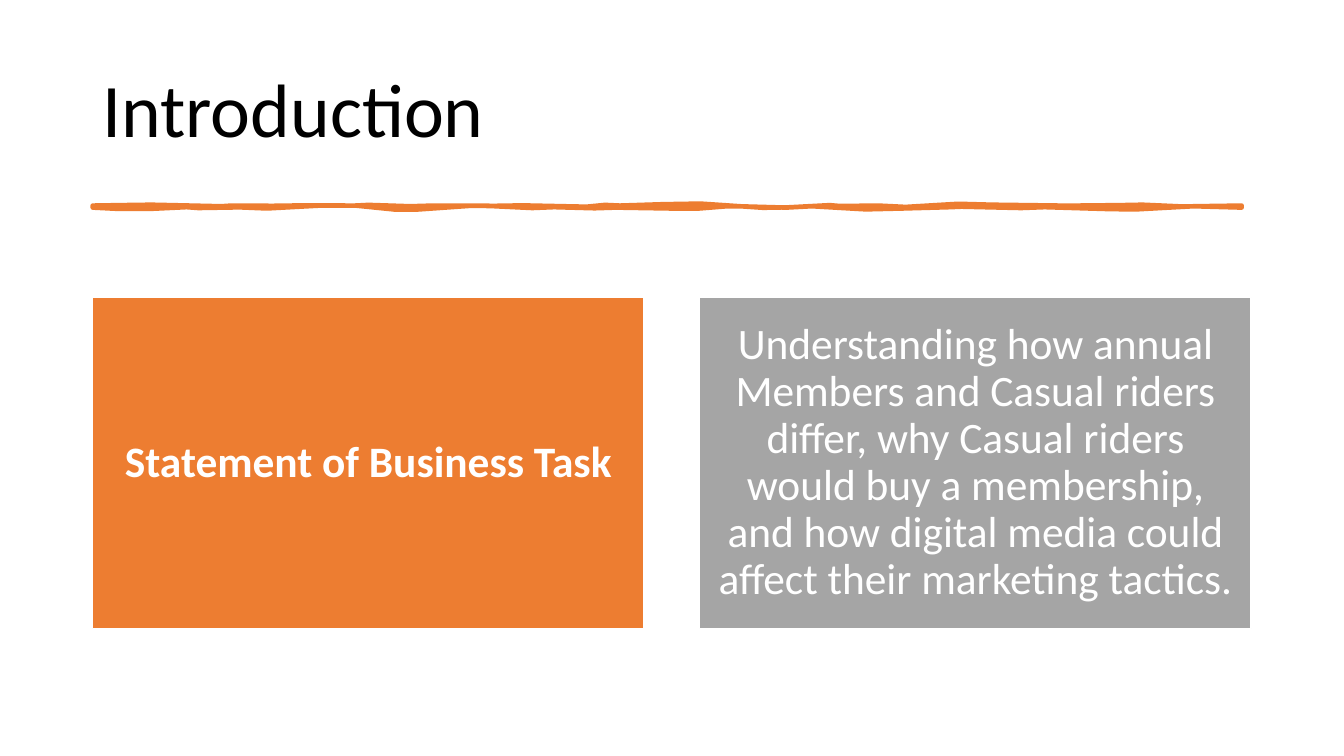
from pptx import Presentation
from pptx.dml.color import RGBColor as Rgb
from pptx.enum.shapes import MSO_SHAPE as Kind
from pptx.enum.text import MSO_ANCHOR as Anchor, PP_ALIGN as Align
from pptx.util import Cm, Pt

FONT = "Calibri"
ORANGE, GRAY, WHITE, BLACK = "ED7D31", "A5A5A5", "FFFFFF", "000000"

# Wavy rule in hundredths of an inch: x1, y1, x2, y2, end x of each curve
LEFT, TOP, BASE = 92, 204, 206
FINE = 100
UPPER = [
    (119, 204, 144, 202, 190), (237, 206, 220, 203, 244),
    (267, 205, 303, 203, 331), (360, 205, 359, 202, 384),
    (410, 206, 423, 203, 460), (498, 205, 514, 203, 548),
    (581, 205, 581, 206, 589), (598, 202, 615, 205, 631),
    (647, 203, 701, 200, 730), (759, 208, 781, 206, 806),
    (831, 202, 827, 206, 848), (868, 202, 901, 208, 924),
    (947, 200, 982, 204, 1023), (1063, 204, 1063, 204, 1087),
    (1112, 204, 1136, 202, 1152), (1168, 206, 1203, 204, 1232),
]
LOWER = [
    (1205, 206, 1189, 203, 1156), (1122, 209, 1110, 208, 1068),
    (1027, 204, 1023, 208, 981), (939, 204, 952, 206, 928),
    (904, 206, 851, 210, 829), (806, 202, 782, 208, 753),
    (724, 204, 725, 204, 711), (698, 208, 661, 207, 635),
    (609, 205, 590, 208, 570), (551, 204, 528, 208, 506),
    (483, 204, 473, 203, 441), (409, 209, 390, 209, 377),
    (363, 203, 310, 203, 289), (268, 209, 235, 204, 213),
    (192, 208, 189, 204, 171), (154, 208, 114, 208, 92),
]


def color(code):
    return Rgb.from_string(code)


def paint(shape, fill, line, width):
    shape.shadow.inherit = False
    shape.fill.solid()
    shape.fill.fore_color.rgb = color(fill)
    shape.line.color.rgb = color(line)
    shape.line.width = Pt(width)


def write(frame, text, size, ink, align, bold=False):
    frame.word_wrap = True
    frame.vertical_anchor = Anchor.MIDDLE
    para = frame.paragraphs[0]
    para.alignment = align
    para.line_spacing = 0.9
    run = para.add_run()
    run.text = text
    font = run.font
    font.name, font.size, font.bold = FONT, Pt(size), bold
    font.color.rgb = color(ink)


def add_title(slide, text):
    title = slide.shapes.title
    title.left, title.top = Cm(2.33), Cm(1.01)
    title.width, title.height = Cm(29.21), Cm(3.68)
    write(title.text_frame, text, 54, BLACK, Align.LEFT)


def trace(start, curves, y):
    """Two points on each cubic curve, all curves ending at height y."""
    x = start
    for x1, y1, x2, y2, end in curves:
        for t in (1 / 3, 2 / 3):
            u = 1 - t
            a, b, c, d = u**3, 3 * u * u * t, 3 * u * t * t, t**3
            yield (FINE * (a * x + b * x1 + c * x2 + d * end),
                   FINE * (a * y + b * y1 + c * y2 + d * y))
        x = end


def add_wave(slide):
    right = UPPER[-1][-1]
    ends = [(FINE * right, FINE * y) for y in (TOP, BASE)]
    points = [*trace(LEFT, UPPER, TOP), *ends, *trace(right, LOWER, BASE),
              (FINE * LEFT, FINE * BASE)]
    pen = slide.shapes.build_freeform(
        FINE * LEFT, FINE * TOP, scale=Cm(2.54) / 100 / FINE)
    pen.add_line_segments(points, close=True)
    paint(pen.convert_to_shape(), ORANGE, ORANGE, 3.25)


def add_card(slide, left, text, fill, bold):
    card = slide.shapes.add_shape(
        Kind.RECTANGLE, left, Cm(7.5), Cm(13.9), Cm(8.34))
    paint(card, fill, WHITE, 1)
    frame = card.text_frame
    frame.margin_left = frame.margin_right = Cm(0.33)
    frame.margin_top = frame.margin_bottom = Cm(0.33)
    write(frame, text, 31, WHITE, Align.CENTER, bold)


def main():
    deck = Presentation()
    deck.slide_width, deck.slide_height = Cm(33.87), Cm(19.05)
    slide = deck.slides.add_slide(deck.slide_layouts[5])

    # Heading and rule
    add_title(slide, "Introduction")
    add_wave(slide)

    # Two cards side by side
    cards = [
        ("Statement of Business Task", ORANGE, True),
        ("Understanding how annual Members and Casual riders differ, "
         "why Casual riders would buy a membership, and how digital media "
         "could affect their marketing tactics.", GRAY, False),
    ]
    for i, card in enumerate(cards):
        add_card(slide, Cm(2.33 + 15.3 * i), *card)

    deck.save("out.pptx")


if __name__ == "__main__":
    main()
